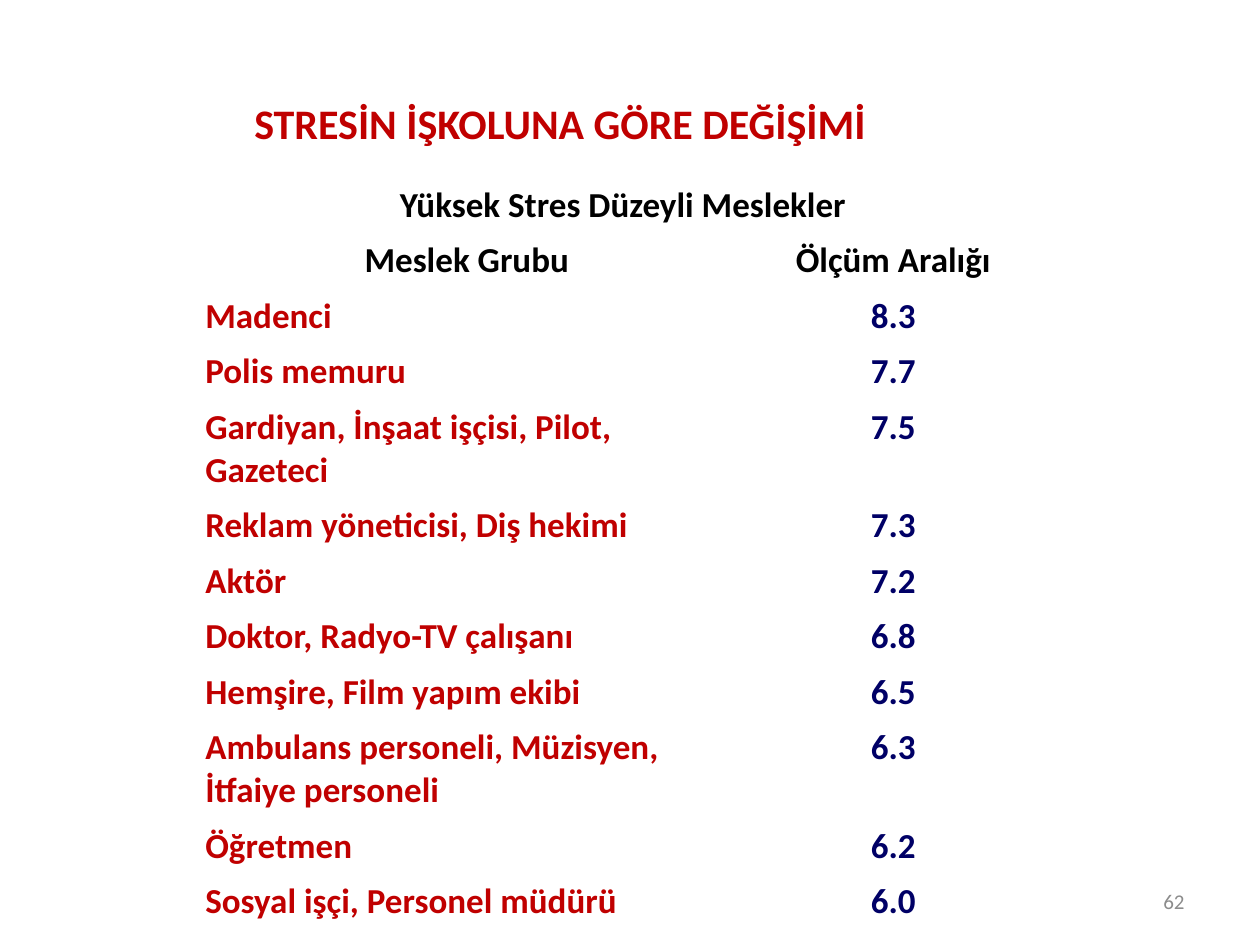
from pptx import Presentation
from pptx.dml.color import RGBColor as Rgb
from pptx.enum.text import MSO_ANCHOR as Anchor, PP_ALIGN as Align
from pptx.util import Inches, Pt

THEME = {
    "font": "Calibri",
    "red": Rgb(0xC0, 0x00, 0x00),
    "navy": Rgb(0x00, 0x00, 0x66),
    "black": Rgb(0x00, 0x00, 0x00),
    "grey": Rgb(0x8C, 0x8C, 0x8C),
    "title": Pt(24),
    "body": Pt(20),
    "note": Pt(12),
}

# Job groups and their stress scores
JOBS = [
    ("Madenci", "8.3"),
    ("Polis memuru", "7.7"),
    ("Gardiyan, İnşaat işçisi, Pilot, Gazeteci", "7.5"),
    ("Reklam yöneticisi, Diş hekimi", "7.3"),
    ("Aktör", "7.2"),
    ("Doktor, Radyo-TV çalışanı", "6.8"),
    ("Hemşire, Film yapım ekibi", "6.5"),
    ("Ambulans personeli, Müzisyen, İtfaiye personeli", "6.3"),
    ("Öğretmen", "6.2"),
    ("Sosyal işçi, Personel müdürü", "6.0"),
]
ROWS = [("Yüksek Stres Düzeyli Meslekler", ""),
        ("Meslek Grubu", "Ölçüm Aralığı")] + JOBS
HEAD = len(ROWS) - len(JOBS)
COLS = (4.29, 2.48)
LINE, TALL = 0.43, 0.78
WRAP = 35  # letters that fit on one line of the first column


def write(frame, text, size, tint, align, bold=True):
    frame.text = text
    frame.word_wrap = True
    para = frame.paragraphs[0]
    para.alignment = align
    look = {"name": THEME["font"], "size": THEME[size], "bold": bold}
    font = para.runs[0].font
    for key, value in look.items():
        setattr(font, key, value)
    font.color.rgb = THEME[tint]


deck = Presentation()
deck.slide_width, deck.slide_height = Inches(10), Inches(7.5)
slide = deck.slides.add_slide(deck.slide_layouts[5])

# Title
title = slide.shapes.title
place = {"left": 1.72, "top": 0.7, "width": 5.45, "height": 0.55}
for key, value in place.items():
    setattr(title, key, Inches(value))
write(title.text_frame, "STRESİN İŞKOLUNA GÖRE DEĞİŞİMİ", "title", "red", Align.CENTER)
title.text_frame.vertical_anchor = Anchor.MIDDLE

# Table grid: rows whose job list wraps are taller
high = [TALL if len(job) > WRAP else LINE for job, _ in ROWS]
table = slide.shapes.add_table(
    len(ROWS), len(COLS), Inches(1.56), Inches(1.41),
    Inches(sum(COLS)), Inches(sum(high))).table
table.first_row = table.horz_banding = False
for col, width in zip(table.columns, COLS):
    col.width = Inches(width)
for row, height in zip(table.rows, high):
    row.height = Inches(height)
table.cell(0, 0).merge(table.cell(0, 1))

# Table text
pads = {"margin_left": 0.07, "margin_right": 0.07,
        "margin_top": 0.05, "margin_bottom": 0.05}
for r, row in enumerate(ROWS):
    for c, text in enumerate(row):
        cell = table.cell(r, c)
        cell.fill.background()
        for key, value in pads.items():
            setattr(cell, key, Inches(value))
        if not text:
            continue
        tint = "black" if r < HEAD else ("red", "navy")[c]
        align = Align.LEFT if r >= HEAD and c == 0 else Align.CENTER
        write(cell.text_frame, text, "body", tint, align)

# Page number
page = slide.shapes.add_textbox(Inches(7.17), Inches(6.95), Inches(2.33), Inches(0.4))
write(page.text_frame, "62", "note", "grey", Align.RIGHT, bold=False)
page.text_frame.vertical_anchor = Anchor.MIDDLE

deck.save("out.pptx")
